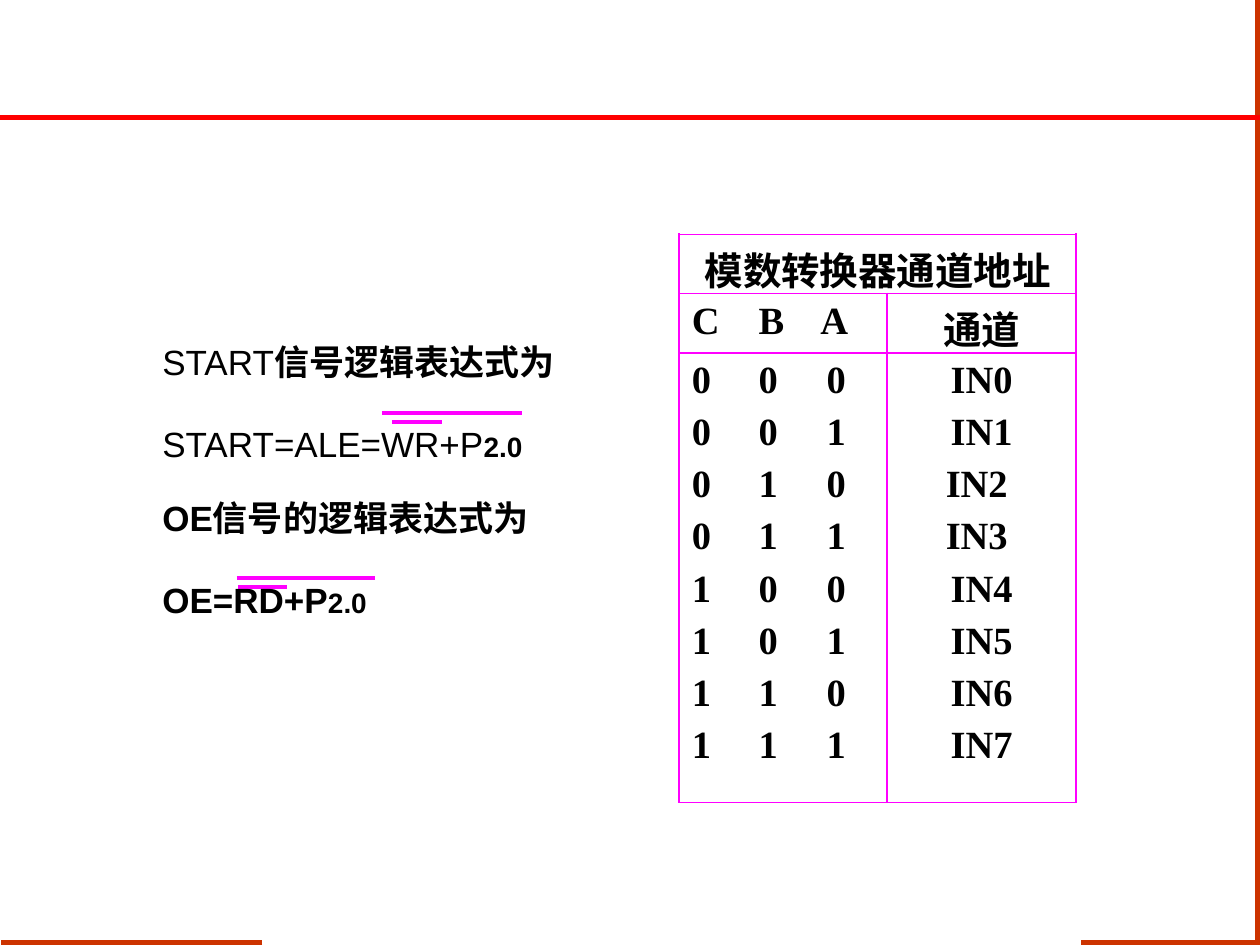
"""Build the converter channel address slide."""
from lxml import etree
from pptx import Presentation
from pptx.dml.color import RGBColor
from pptx.enum import shapes, text
from pptx.oxml import ns
from pptx.util import Inches, Pt

BLACK = RGBColor(0, 0, 0)
RUST = RGBColor(0xCC, 0x33, 0x00)
RED = RGBColor(0xFF, 0x00, 0x00)
PINK = RGBColor(0xFF, 0x00, 0xFF)


def add_run(para, words, size, font, bold):
    run = para.add_run()
    run.text = words
    run.font.size = Pt(size)
    run.font.name = font
    run.font.bold = bold
    run.font.color.rgb = BLACK


def fill_cell(cell, lines, stops=()):
    for i, line in enumerate(lines):
        frame = cell.text_frame
        para = frame.add_paragraph() if i else frame.paragraphs[0]
        if stops:
            tabs = etree.SubElement(para._p.get_or_add_pPr(), ns.qn("a:tabLst"))
            for stop in stops:
                etree.SubElement(tabs, ns.qn("a:tab"), pos=str(Inches(stop)), algn="l")
        else:
            para.alignment = text.PP_ALIGN.CENTER
        if i:
            para.space_before = Pt(5.5)
        add_run(para, line, 22, "Times New Roman", True)


deck = Presentation()
deck.slide_width = Inches(10)
deck.slide_height = Inches(7.5)
slide = deck.slides.add_slide(deck.slide_layouts[6])

rules = [
    (2.08, 7.48, 0.01, 7.48, RUST, 3),
    (9.98, 7.5, 9.98, 0, RUST, 3),
    (9.96, 7.48, 8.58, 7.48, RUST, 3),
    (10, 0.93, 0, 0.93, RED, 3),
    (3.03, 3.28, 4.14, 3.28, PINK, 2.25),
    (1.88, 4.59, 2.98, 4.59, PINK, 2.25),
    (1.89, 4.66, 2.28, 4.66, PINK, 2.25),
    (3.11, 3.35, 3.51, 3.35, PINK, 2.25),
]
for *ends, hue, width in rules:
    rule = slide.shapes.add_connector(
        shapes.MSO_CONNECTOR.STRAIGHT, *[Inches(end) for end in ends])
    rule.line.color.rgb = hue
    rule.line.width = Pt(width)
    etree.SubElement(rule._element.spPr, ns.qn("a:effectLst"))

box = slide.shapes.add_textbox(Inches(1.19), Inches(2.65), Inches(3.4), Inches(2.37))
frame = box.text_frame
frame.word_wrap = False
frame.auto_size = text.MSO_AUTO_SIZE.SHAPE_TO_FIT_TEXT
logic = [
    (0, [("START", 20, False), ("信号逻辑表达式为", 20, True)]),
    (23, [("START=ALE=WR+P", 20, False), ("2.0", 16, True)]),
    (18.5, [("OE信号的逻辑表达式为", 20, True)]),
    (23, [("OE=RD+P", 20, True), ("2.0", 16, True)]),
]
for i, (gap, runs) in enumerate(logic):
    para = frame.add_paragraph() if i else frame.paragraphs[0]
    if gap:
        para.space_before = Pt(gap)
    for words, size, bold in runs:
        add_run(para, words, size, "Arial", bold)

table = slide.shapes.add_table(
    3, 2, Inches(5.39), Inches(1.86), Inches(3.15), Inches(4.51)).table
table.first_row = False
table.horz_banding = False
for col, width in zip(table.columns, (1.65, 1.5)):
    col.width = Inches(width)
for row, height in zip(table.rows, (0.47, 0.47, 3.57)):
    row.height = Inches(height)
for cell in table.iter_cells():
    props = cell._tc.get_or_add_tcPr()
    for side in ("L", "R", "T", "B"):
        edge = etree.SubElement(props, ns.qn("a:ln" + side), w=str(Pt(1.08)))
        solid = etree.SubElement(edge, ns.qn("a:solidFill"))
        etree.SubElement(solid, ns.qn("a:srgbClr"), val=str(PINK))
    cell.fill.background()

table.cell(0, 0).merge(table.cell(0, 1))
fill_cell(table.cell(0, 0), ["模数转换器通道地址"])
fill_cell(table.cell(1, 0), ["C\tB\tA"], (0.53, 1.02))
fill_cell(table.cell(1, 1), ["通道"])
codes = ["\t".join(f"{n:03b}") for n in range(8)]
fill_cell(table.cell(2, 0), codes, (0.53, 1.07))
names = [f"IN{n} " if n in (2, 3) else f"IN{n}" for n in range(8)]
fill_cell(table.cell(2, 1), names)

deck.save("out.pptx")
